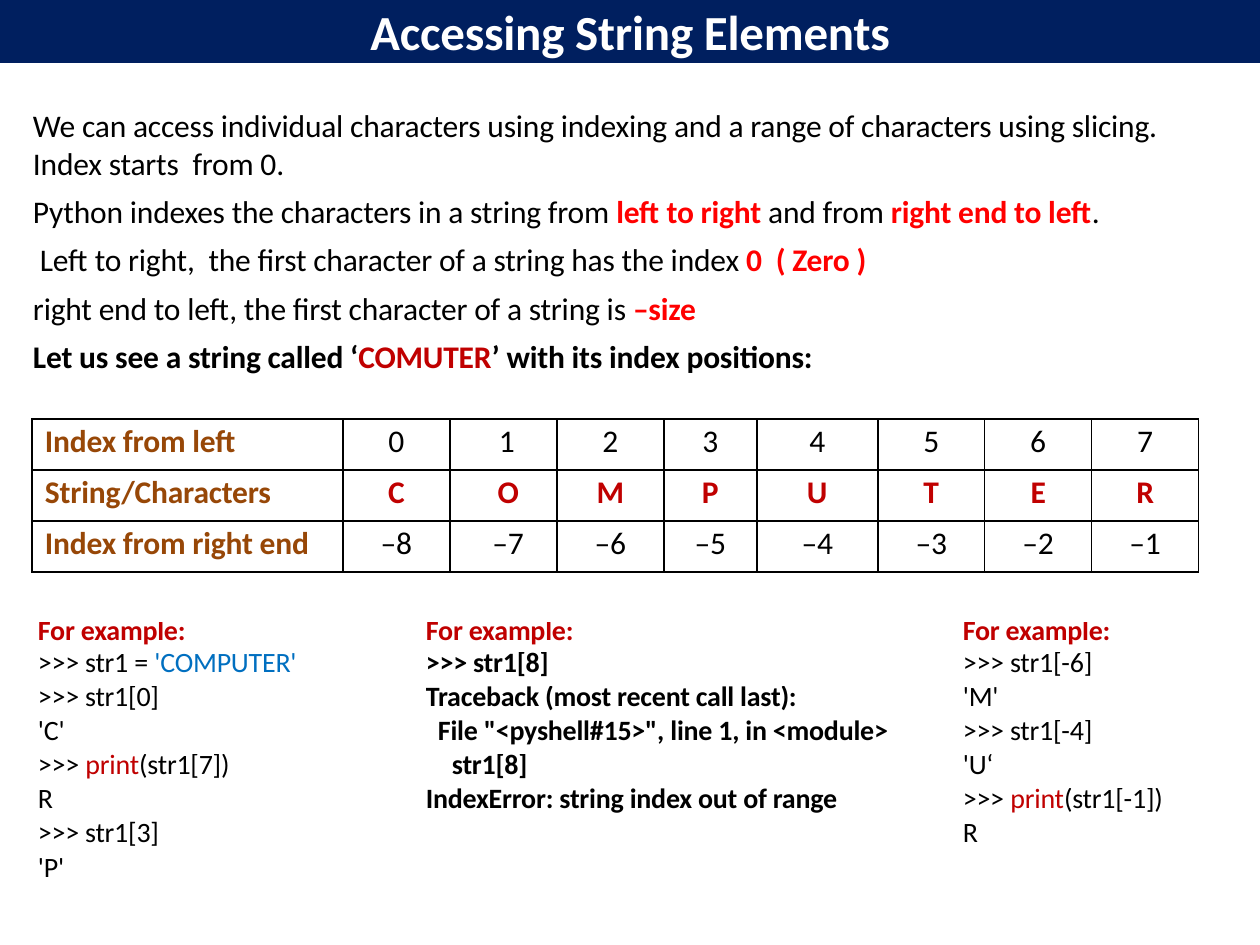
from lxml.etree import SubElement
from pptx import Presentation
from pptx.dml.color import RGBColor
from pptx.enum.text import MSO_ANCHOR, MSO_AUTO_SIZE, PP_ALIGN as Align
from pptx.oxml.ns import qn
from pptx.util import Pt

PX = 914400 // 126
COLORS = {"navy": "001F5F", "white": "FFFFFF", "black": "000000", "red": "FF0000",
          "crimson": "C00000", "brown": "974707", "blue": "006FC0"}

# Each paragraph is a list of runs: (text, colour, bold)
TITLE = [("Accessing String Elements", "white", True)]
BODY = [
    [("We can access individual characters using indexing and a range of characters "
      "using slicing. Index starts  from 0.", "black", False)],
    [("Python indexes the characters in a string from ", "black", False),
     ("left to right", "red", True), (" and from ", "black", False),
     ("right end to left", "red", True), (".", "black", False)],
    [(" Left to right,  the first character of a string has the index ", "black", False),
     ("0  ( Zero )", "red", True)],
    [("right end to left, the first character of a string is ", "black", False),
     ("–size", "red", True)],
    [("Let us see a string called ‘", "black", True), ("COMUTER", "crimson", True),
     ("’ with its index positions:", "black", True)],
]

WORD = "COMPUTER"
# label, values, value colour, bold values, right margin of the right-aligned column
INDEX_ROWS = [
    ("Index from left", [str(i) for i in range(len(WORD))], "black", False, 42),
    ("String/Characters", list(WORD), "crimson", True, 38),
    ("Index from right end", [f"–{len(WORD) - i}" for i in range(len(WORD))],
     "black", False, 33),
]
INDEX_COLS = [311, 107, 107, 107, 93, 121, 107, 107, 107]
RIGHT_ALIGNED_COL = 2

HEADING = [("For example:", "crimson", True)]


def code(text, bold=False):
    """Return one black code line as a list of runs."""
    return [(text, "black", bold)]


def print_call(argument):
    """Return the runs of a prompt line that calls print."""
    return [(">>> ", "black", False), ("print", "crimson", False),
            (f"({argument})", "black", False)]


# Each row holds three cells: (indent, paragraphs)
EXAMPLE_ROWS = [
    [(4, [HEADING]), (52, [HEADING]), (21, [HEADING])],
    [(4, [[(">>> str1 = ", "black", False), ("'COMPUTER'", "blue", False)]]),
     (52, [code(">>> str1[8]", True)]), (21, [code(">>> str1[-6]")])],
    [(4, [code(">>> str1[0]")]),
     (52, [code("Traceback (most recent call last):", True)]), (21, [code("'M'")])],
    [(4, [code("'C'")]),
     (64, [code('File "<pyshell#15>", line 1, in <module>', True)]),
     (21, [code(">>> str1[-4]")])],
    [(4, [print_call("str1[7]")]), (78, [code("str1[8]", True)]), (21, [code("'U‘")])],
    [(4, [code("R"), code(">>> str1[3]"), code("'P'")]),
     (52, [code("IndexError: string index out of range", True)]),
     (21, [print_call("str1[-1]"), code("R")])],
]
EXAMPLE_COLS = [340, 568, 245]
EXAMPLE_HEIGHTS = [30, 34, 34, 34, 34, 98]


def rgb(name):
    """Return a named colour."""
    return RGBColor.from_string(COLORS[name])


def write(tf, paragraphs, size, align=Align.LEFT, before=0, first_before=0, first_line=None):
    """Write paragraphs of styled runs into a text frame."""
    for i, runs in enumerate(paragraphs):
        p = tf.add_paragraph() if i else tf.paragraphs[0]
        p.alignment = align
        p.space_before = Pt(before if i else first_before)
        if first_line and i == 0:
            p.line_spacing = Pt(first_line)
        for text, color, bold in runs:
            r = p.add_run()
            r.text = text
            r.font.name, r.font.size, r.font.bold = "Calibri", Pt(size), bold
            r.font.color.rgb = rgb(color)
            r._r.get_or_add_rPr().set("spc", "-10")


def set_margins(target, left=0, top=0, right=0):
    """Set the inner margins of a cell or text frame in pixels."""
    target.margin_left, target.margin_top = left * PX, top * PX
    target.margin_right, target.margin_bottom = right * PX, 0


def place(sp, x, y, w, h, top):
    """Move a placeholder and return its prepared text frame."""
    sp.left, sp.top, sp.width, sp.height = (v * PX for v in (x, y, w, h))
    tf = sp.text_frame
    tf.word_wrap, tf.auto_size = True, MSO_AUTO_SIZE.NONE
    tf.vertical_anchor = MSO_ANCHOR.TOP
    set_margins(tf, top=top)
    return tf


def add_grid(s, x, y, cols, heights):
    """Add an unstyled table and return it."""
    table = s.shapes.add_table(len(heights), len(cols), x * PX, y * PX,
                               sum(cols) * PX, sum(heights) * PX).table
    table.first_row = table.horz_banding = False
    for column, width in zip(table.columns, cols):
        column.width = width * PX
    for row, height in zip(table.rows, heights):
        row.height = height * PX
    return table


def add_borders(cell):
    """Draw a thin black line on all four sides of a cell."""
    tcPr = cell._tc.get_or_add_tcPr()
    for side in ("a:lnL", "a:lnR", "a:lnT", "a:lnB"):
        ln = SubElement(tcPr, qn(side), w=str(Pt(1)))
        fill = SubElement(ln, qn("a:solidFill"))
        SubElement(fill, qn("a:srgbClr"), val=COLORS["black"])


prs = Presentation()
prs.slide_width, prs.slide_height = 1260 * PX, 945 * PX
s = prs.slides.add_slide(prs.slide_layouts[1])

title, body = s.shapes.title, s.placeholders[1]
title.fill.solid()
title.fill.fore_color.rgb = rgb("navy")
write(place(title, 0, 0, 1260, 63, 2), [TITLE], 28, Align.CENTER, first_before=1.8)

tf = place(body, 32, 105, 1192, 273, 1)
write(tf, BODY, 18, before=6, first_before=0.9)
for p in tf.paragraphs:
    pPr = p._p.get_or_add_pPr()
    pPr.set("marL", str(PX))
    pPr.set("indent", "0")
    SubElement(pPr, qn("a:buNone"))

index_table = add_grid(s, 32, 419, INDEX_COLS, [51] * len(INDEX_ROWS))
for i, (label, values, color, bold, right) in enumerate(INDEX_ROWS):
    for j, text in enumerate([label] + values):
        cell = index_table.cell(i, j)
        add_borders(cell)
        cell.fill.background()
        shifted = j == RIGHT_ALIGNED_COL
        set_margins(cell, 0 if j else 13, 4, right if shifted else 0)
        run = (text, color, bold) if j else (text, "brown", True)
        align = Align.RIGHT if shifted else Align.CENTER if j else Align.LEFT
        write(cell.text_frame, [[run]], 18, align, first_before=2.5)

example_table = add_grid(s, 34, 621, EXAMPLE_COLS, EXAMPLE_HEIGHTS)
for i, row in enumerate(EXAMPLE_ROWS):
    for j, (indent, paragraphs) in enumerate(row):
        cell = example_table.cell(i, j)
        cell.fill.background()
        set_margins(cell, indent)
        write(cell.text_frame, paragraphs, 16, first_line=16.8 if i else 15.2)

prs.save("out.pptx")
